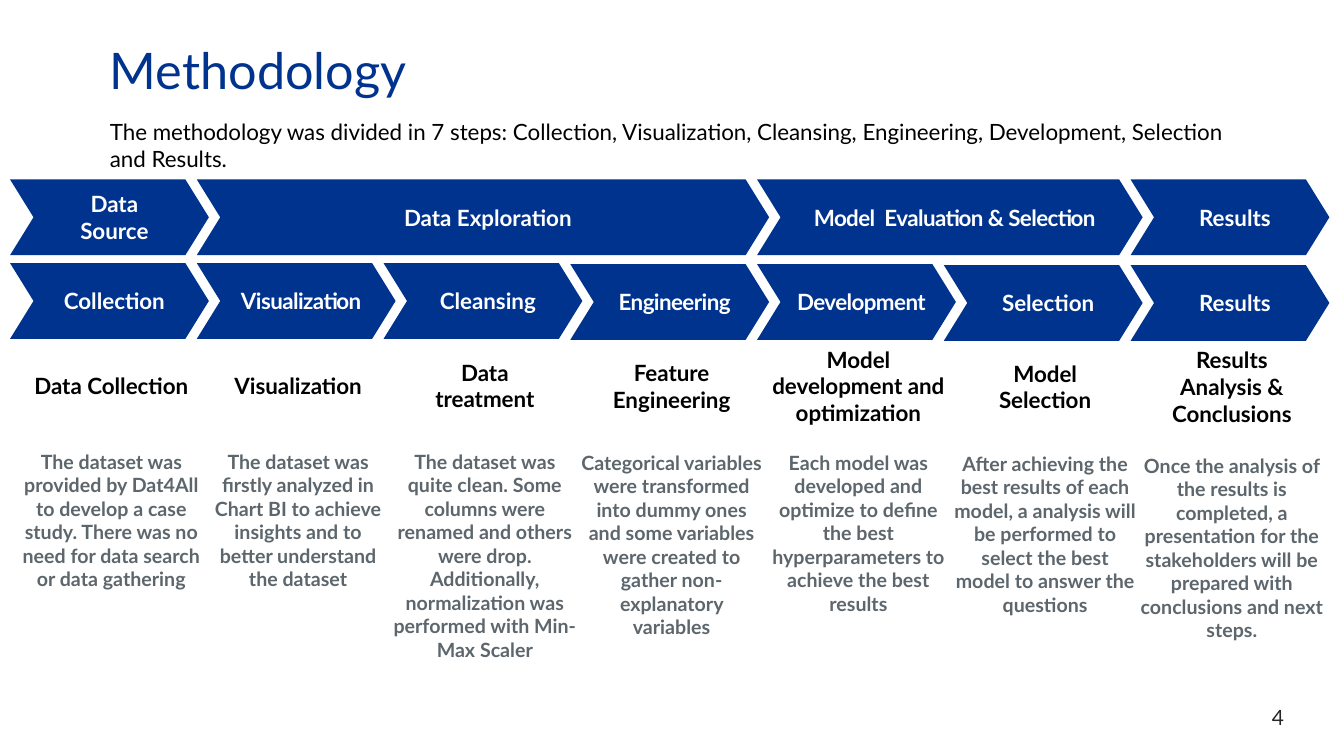
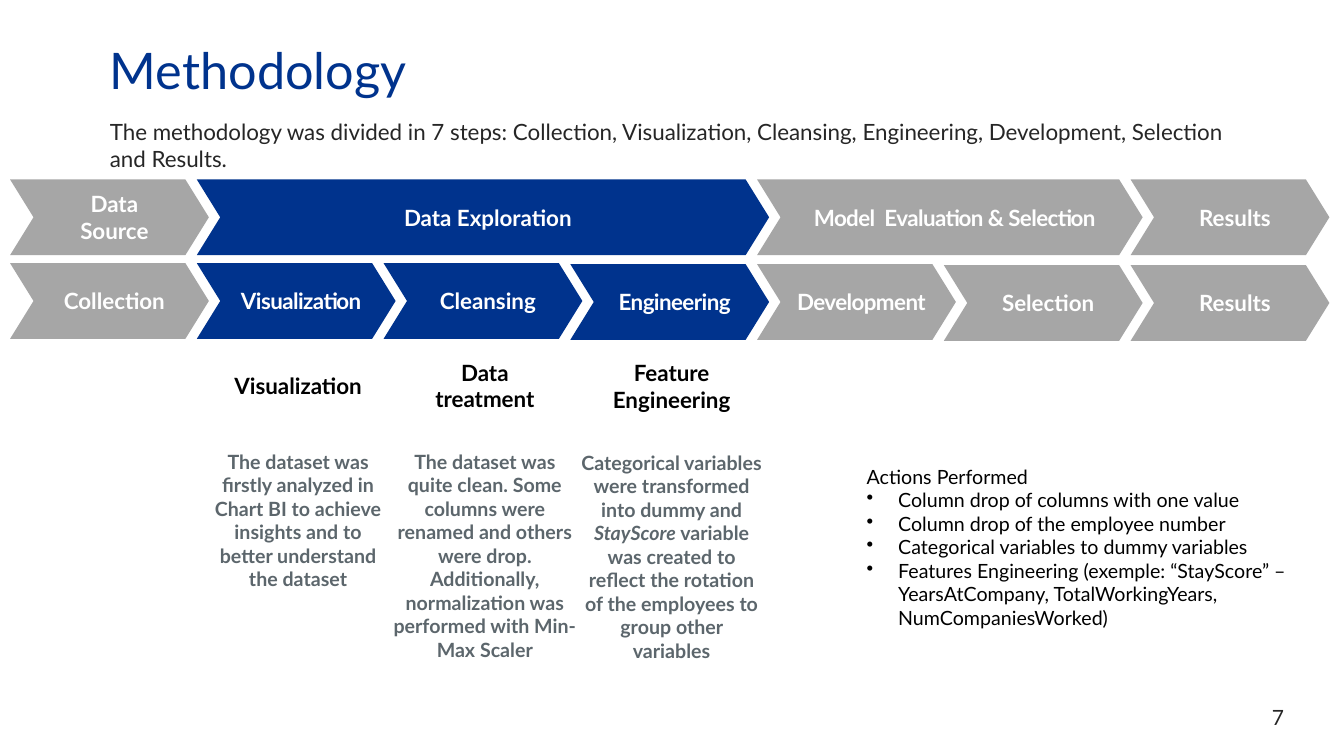
"""Build two methodology slides: a seven-step process and its exploration phase."""
import pptx
import pptx.util
import pptx.dml.color
import pptx.enum.shapes
import pptx.enum.text
from lxml import etree

Pt = pptx.util.Pt
ALIGN = pptx.enum.text.PP_ALIGN
ANCHOR = pptx.enum.text.MSO_ANCHOR
FONT = "Lato"
COLORS = {"blue": "00338D", "grey": "A6A6A6", "slate": "5C666C",
          "ink": "262626", "black": "000000", "white": "FFFFFF"}

TITLE = "Methodology"
INTRO = ("The methodology was divided in 7 steps: Collection, Visualization, Cleansing, "
         "Engineering, Development, Selection and Results.")
PHASES = [("Data\nSource", 0, 1), ("Data Exploration", 1, 3),
          ("Model  Evaluation & Selection", 4, 2), ("Results", 6, 1)]
STEPS = [
    ("Collection", "Data Collection",
     "The dataset was provided by Dat4All to develop a case study. "
     "There was no need for data search or data gathering"),
    ("Visualization", "Visualization",
     "The dataset was firstly analyzed in Chart BI to achieve insights "
     "and to better understand the dataset"),
    ("Cleansing", "Data\ntreatment",
     "The dataset was quite clean. Some columns were renamed and others were drop.\n"
     "Additionally, normalization was performed with Min-Max Scaler"),
    ("Engineering", "Feature Engineering",
     "Categorical variables were transformed into dummy ones and some variables "
     "were created to gather non-explanatory variables"),
    ("Development", "Model development and optimization",
     "Each model was developed and optimize to define the best hyperparameters "
     "to achieve the best results"),
    ("Selection", "Model\nSelection",
     "After achieving the best results of each model, a analysis will be performed "
     "to select the best model to answer the questions"),
    ("Results", "Results\nAnalysis & Conclusions",
     "Once the analysis of the results is completed, a presentation for the "
     "stakeholders will be prepared with conclusions and next steps."),
]
STAY_SCORE = ("Categorical variables were transformed into dummy and\n"
              "*StayScore* variable was created to reflect the rotation of the "
              "employees to group other variables")
ACTIONS = ["Column drop of columns with one value",
           "Column drop of the employee number",
           "Categorical variables to dummy variables",
           "Features Engineering (exemple: “StayScore” – YearsAtCompany, "
           "TotalWorkingYears, NumCompaniesWorked)"]
SLIDES = [
    {"number": "4", "intro": "black", "active": range(7), "notes": {}, "actions": []},
    {"number": "7", "intro": "ink", "active": range(1, 4), "notes": {3: STAY_SCORE},
     "actions": ACTIONS},
]

TIGHT = {"Visualization", "Engineering", "Development", "Model  Evaluation & Selection"}
LEFT, PITCH = 7.2, 133.4
CHEVRON_W, CHEVRON_H = 142, 54
TEXT_W = 144.7
PHASE_Y, STEP_Y, HEADING_Y, NOTE_Y = 128.2, 188, 233.3, 317.5
STEP_DROP = [0, 0, 0, 0.7, 0.7, 1.4, 1.4]
NOTE_DROP = [0, 0, 0, 0.7, 0.7, 1.4, 2.9]


def rgb(name):
    return pptx.dml.color.RGBColor.from_string(COLORS[name])


def write(sp, text, size, color, bold=False, align=ALIGN.LEFT, anchor=ANCHOR.TOP,
          insets=(7.2, 3.6, 7.2, 3.6), wrap=True):
    tf = sp.text_frame
    tf.word_wrap, tf.vertical_anchor = wrap, anchor
    tf.margin_left, tf.margin_top, tf.margin_right, tf.margin_bottom = map(Pt, insets)
    for i, line in enumerate(text.split("\n")):
        p = tf.add_paragraph() if i else tf.paragraphs[0]
        p.alignment = align
        p.font.name, p.font.size, p.font.bold = FONT, Pt(size), bold
        p.font.color.rgb = rgb(color)
        for j, part in enumerate(line.split("*")):
            if part:
                r = p.add_run()
                r.text = part
                if j % 2:
                    r.font.italic = True
    return tf.paragraphs


def add_text(s, box, text, size, color, **style):
    return write(s.shapes.add_textbox(*map(Pt, box)), text, size, color, **style)


def add_chevron(s, first, span, y, label, active):
    w = PITCH * (span - 1) + CHEVRON_W
    sp = s.shapes.add_shape(pptx.enum.shapes.MSO_SHAPE.CHEVRON, Pt(LEFT + PITCH * first),
                            Pt(y), Pt(w), Pt(CHEVRON_H))
    sp.adjustments[0] = 0.31
    sp.shadow.inherit = False
    sp.fill.solid()
    sp.fill.fore_color.rgb = rgb("blue" if active else "grey")
    sp.line.fill.background()
    paragraphs = write(sp, label, 16, "white", bold=True, align=ALIGN.CENTER,
                       anchor=ANCHOR.MIDDLE, insets=(7.2, 3.6, 0, 3.6), wrap=False)
    if label in TIGHT:
        for r in paragraphs[0].runs:
            r.font._element.set("spc", "-40")


def add_frame(s, number, intro_color):
    p = add_text(s, (78.5, 33.8, 802.8, 41.8), TITLE, 36, "blue",
                 anchor=ANCHOR.MIDDLE, insets=(0, 0, 0, 0))[0]
    p.line_spacing = 0.7
    add_text(s, (78.5, 84.2, 803.5, 38.9), INTRO, 16, intro_color, insets=(0, 0, 0, 0))
    add_text(s, (894.2, 499, 37.4, 30.2), number, 15, "ink", align=ALIGN.CENTER,
             insets=(4.3, 4.3, 4.3, 4.3))


def add_actions(s, actions):
    paragraphs = add_text(s, (612, 328.3, 347.8, 177), "\n".join(["Actions Performed"] + actions),
                          14, "black")
    for p in paragraphs[1:]:
        pPr = p._p.get_or_add_pPr()
        pPr.set("marL", str(Pt(22.5)))
        pPr.set("indent", str(-Pt(22.5)))
        bullet = etree.Element(pptx.oxml.ns.qn("a:buChar"), char="•")
        pPr.insert_element_before(bullet, "a:tabLst", "a:defRPr", "a:extLst")


def add_process(s, active, notes):
    for label, first, span in PHASES:
        add_chevron(s, first, span, PHASE_Y, label, first in active)
    for i, (label, heading, note) in enumerate(STEPS):
        add_chevron(s, i, 1, STEP_Y + STEP_DROP[i], label, i in active)
        if i in active:
            x = LEFT + PITCH * i
            add_text(s, (x, HEADING_Y + STEP_DROP[i] / 2, TEXT_W, 84.2), heading, 16, "black",
                     bold=True, align=ALIGN.CENTER, anchor=ANCHOR.MIDDLE)
            add_text(s, (x, NOTE_Y + NOTE_DROP[i], TEXT_W, 138.2), notes.get(i, note), 14,
                     "slate", bold=True, align=ALIGN.CENTER)


def main():
    prs = pptx.Presentation()
    prs.slide_width, prs.slide_height = Pt(960), Pt(540)
    for page in SLIDES:
        s = prs.slides.add_slide(prs.slide_layouts[6])
        add_frame(s, page["number"], page["intro"])
        add_process(s, page["active"], page["notes"])
        if page["actions"]:
            add_actions(s, page["actions"])
    prs.save("out.pptx")


if __name__ == "__main__":
    main()
